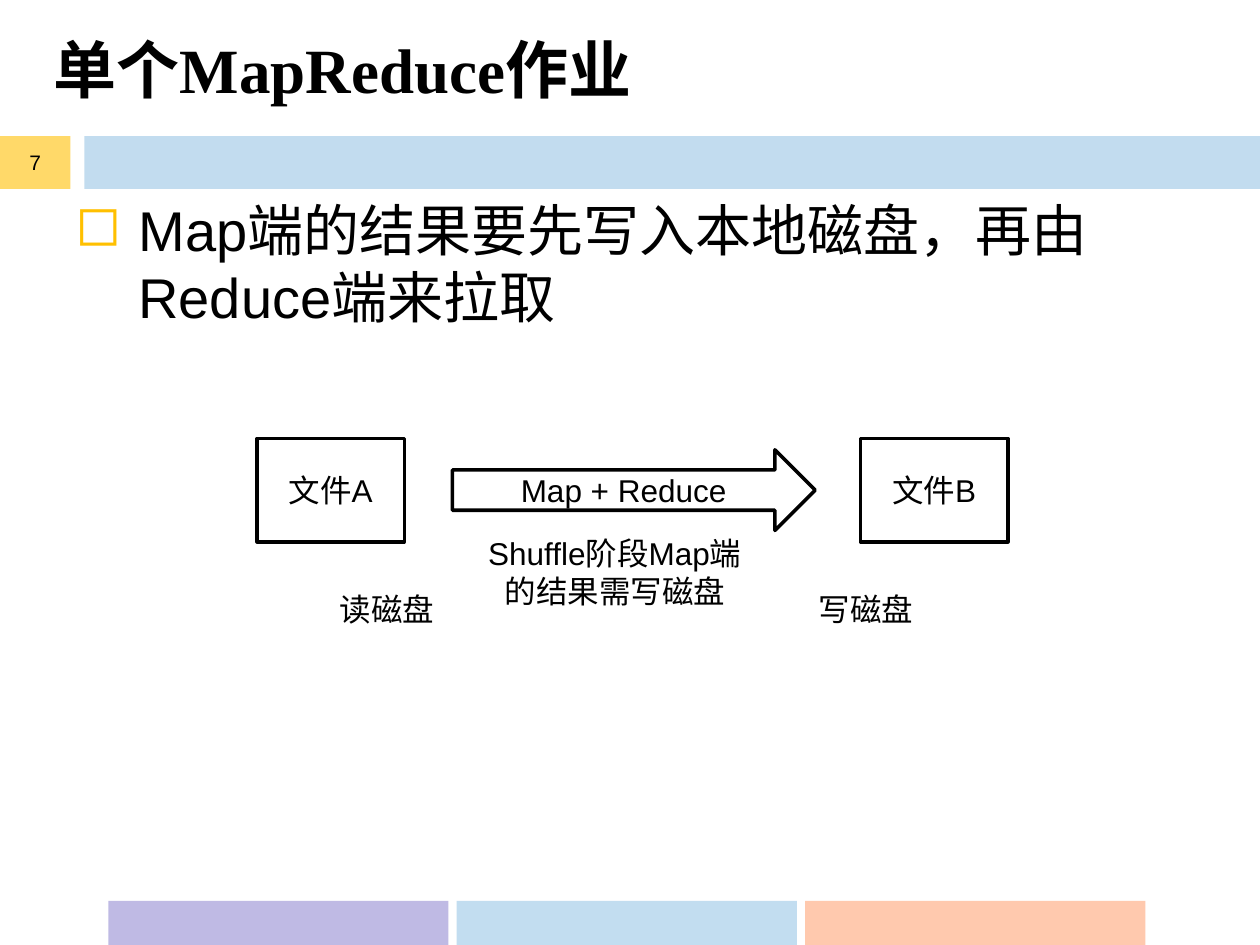
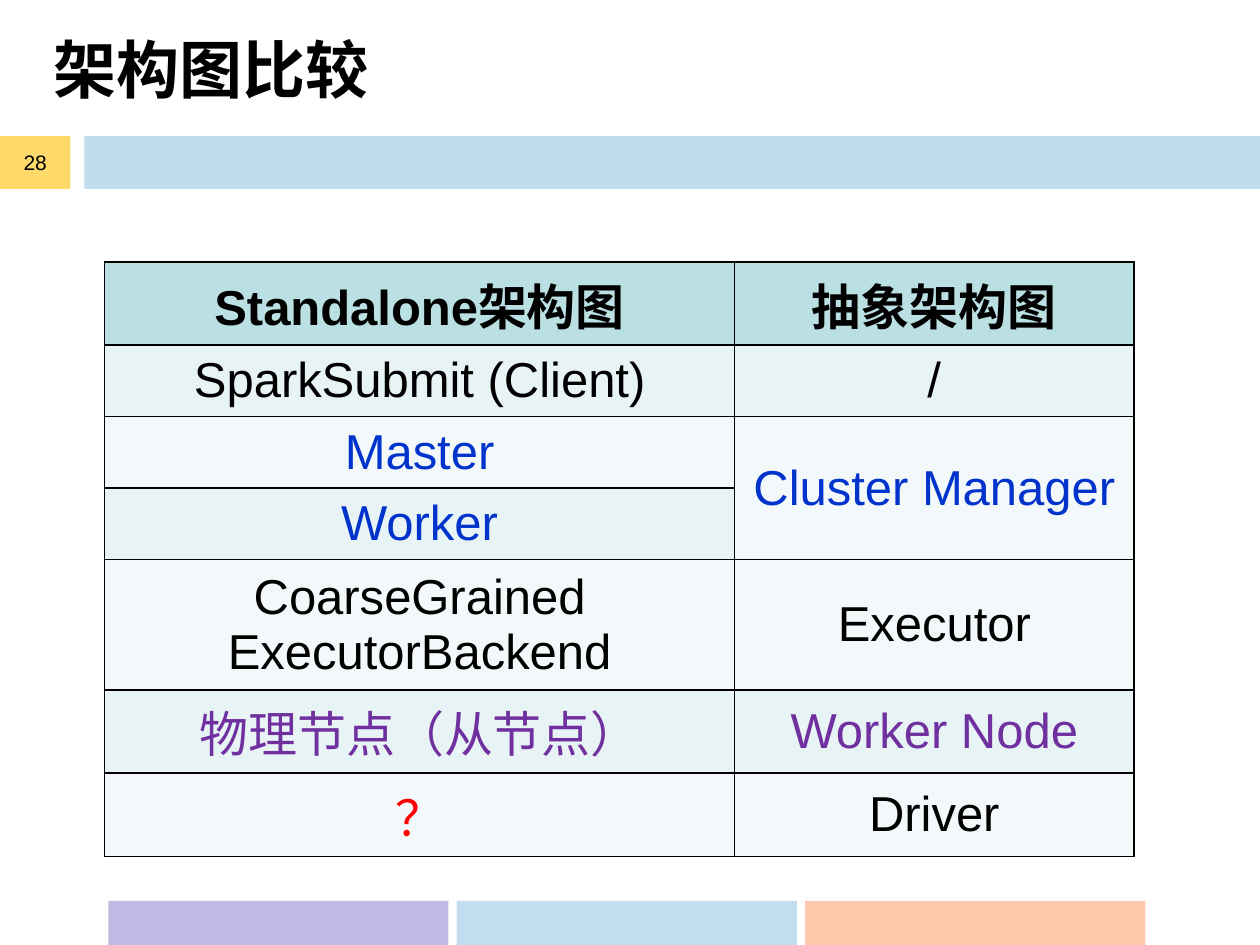
from dataclasses import dataclass

from lxml import etree
from pptx import Presentation
from pptx.dml.color import RGBColor
from pptx.enum.shapes import MSO_SHAPE
from pptx.enum.text import MSO_ANCHOR, PP_ALIGN
from pptx.oxml.ns import qn
from pptx.util import Inches, Pt

RECTANGLE, RIGHT_ARROW = MSO_SHAPE.RECTANGLE, MSO_SHAPE.RIGHT_ARROW
LEFT, CENTER = PP_ALIGN.LEFT, PP_ALIGN.CENTER
TOP, MIDDLE = MSO_ANCHOR.TOP, MSO_ANCHOR.MIDDLE


@dataclass(frozen=True)
class Theme:
    black: str = "000000"
    blue: str = "0033CC"
    purple: str = "7030A0"
    red: str = "FF0000"
    bullet: str = "FFC000"
    band: tuple = ("0070C0", 24)
    number_fill: tuple = ("FFC000", 59)
    footer: tuple = (("BFBAE4", 100), ("C2DDF0", 100), ("FF9966", 53))
    header_row: str = "BBE0E3"
    stripes: tuple = ("E7F3F4", "F3F9FA")
    heading_font: str = "Times New Roman"
    text_font: str = "Arial"
    title_size: int = 36
    body_size: int = 32
    table_size: int = 28
    label_size: int = 18
    number_size: int = 12


def add_xml(parent, tag, **attributes):
    values = {name: str(value) for name, value in attributes.items()}
    return etree.SubElement(parent, qn(tag), values)


def place(*lengths):
    return [Inches(length) for length in lengths]


class SlideBuilder:
    def __init__(self, deck, theme):
        self.deck = deck
        self.theme = theme
        self.page = None

    def start(self, title, number):
        """Add a page with the shared title, bands and page number."""
        theme = self.theme
        self.page = self.deck.slides.add_slide(self.deck.slide_layouts[6])
        for index, fill in enumerate(theme.footer):
            self.shape((0.86 + index * 2.765, 7.15, 2.7, 0.36), fill=fill)
        self.shape((0.67, 1.08, 9.33, 0.42), fill=theme.band)
        self.text((0.33, -0.08, 9.39, 1.25), title, anchor=MIDDLE,
                  size=theme.title_size, name=theme.heading_font, bold=True)
        self.shape((0, 1.08, 0.56, 0.42), str(number), fill=theme.number_fill,
                   size=theme.number_size)

    def set_text(self, frame, content, align=LEFT, color=None, **font_values):
        """Fill a text frame, one paragraph per line of content."""
        values = {"name": self.theme.text_font, "size": self.theme.label_size,
                  "bold": False} | font_values
        values["size"] = Pt(values["size"])
        frame.word_wrap = True
        for index, line in enumerate(content.split("\n")):
            para = frame.paragraphs[0] if index == 0 else frame.add_paragraph()
            para.alignment = align
            span = para.add_run()
            span.text = line
            for name, value in values.items():
                setattr(span.font, name, value)
            span.font.color.rgb = RGBColor.from_string(color or self.theme.black)

    def shape(self, area, content="", kind=RECTANGLE, fill=None, line=None, **font_values):
        """Draw a preset shape; fill is a pair of colour and opacity percent."""
        shape = self.page.shapes.add_shape(kind, *place(*area))
        shape.shadow.inherit = False
        if fill:
            color, opacity = fill
            shape.fill.solid()
            shape.fill.fore_color.rgb = RGBColor.from_string(color)
            if opacity < 100:
                color_xml = shape._element.spPr.find(".//" + qn("a:srgbClr"))
                add_xml(color_xml, "a:alpha", val=opacity * 1000)
        else:
            shape.fill.background()
        if line:
            shape.line.color.rgb = RGBColor.from_string(line)
            shape.line.width = Pt(2)
        else:
            shape.line.fill.background()
        if content:
            shape.text_frame.vertical_anchor = MIDDLE
            self.set_text(shape.text_frame, content, CENTER, **font_values)

    def text(self, area, content, align=LEFT, anchor=TOP, **font_values):
        box = self.page.shapes.add_textbox(*place(*area))
        box.text_frame.vertical_anchor = anchor
        self.set_text(box.text_frame, content, align, **font_values)
        return box

    def bullet(self, area, content):
        box = self.text(area, content, size=self.theme.body_size)
        properties = box.text_frame.paragraphs[0]._p.get_or_add_pPr()
        properties.set("marL", str(Inches(0.5)))
        properties.set("indent", str(Inches(-0.5)))
        add_xml(add_xml(properties, "a:buClr"), "a:srgbClr", val=self.theme.bullet)
        add_xml(properties, "a:buChar", char="◻")

    def cell(self, cell, content, fill, color, bold):
        properties = cell._tc.get_or_add_tcPr()
        for side in ("a:lnL", "a:lnR", "a:lnT", "a:lnB"):
            border = add_xml(properties, side, w=Pt(1))
            add_xml(add_xml(border, "a:solidFill"), "a:srgbClr", val=self.theme.black)
        cell.fill.solid()
        cell.fill.fore_color.rgb = RGBColor.from_string(fill)
        cell.vertical_anchor = MIDDLE
        if content:
            self.set_text(cell.text_frame, content, CENTER, color=color,
                          size=self.theme.table_size, bold=bold)

    def table(self, left, top, widths, heights, rows):
        """Draw a striped table; each row is its texts and their colours."""
        area = place(left, top, sum(widths), sum(heights))
        table = self.page.shapes.add_table(len(rows), len(widths), *area).table
        for column, width in zip(table.columns, widths):
            column.width = Inches(width)
        for index, (height, (texts, colors)) in enumerate(zip(heights, rows)):
            table.rows[index].height = Inches(height)
            header = index == 0
            fill = self.theme.header_row if header else self.theme.stripes[(index - 1) % 2]
            for column, (content, color) in enumerate(zip(texts, colors)):
                self.cell(table.cell(index, column), content, fill, color, header)
        return table


def mapreduce_page(builder):
    black = builder.theme.black
    builder.start("单个MapReduce作业", 7)
    builder.bullet((0.5, 1.5, 9, 5.2), "Map端的结果要先写入本地磁盘，再由Reduce端来拉取")
    for left, file_name in ((2.04, "文件A"), (6.83, "文件B")):
        builder.shape((left, 3.48, 1.17, 0.82), file_name, line=black)
    builder.shape((3.59, 3.57, 2.88, 0.64), "Map + Reduce", RIGHT_ARROW, line=black)
    for left, disk_step in ((2.6, "读磁盘"), (6.4, "写磁盘")):
        builder.text((left, 4.63, 1.56, 0.4), disk_step)
    builder.text((3.75, 4.19, 2.26, 0.71), "Shuffle阶段Map端的结果需写磁盘", CENTER)


def architecture_page(builder):
    theme = builder.theme
    builder.start("架构图比较", 28)
    plain, blue, purple = ((color, color) for color in (theme.black, theme.blue, theme.purple))
    rows = [
        (("Standalone架构图", "抽象架构图"), plain),
        (("SparkSubmit (Client)", "/"), plain),
        (("Master", "Cluster Manager"), blue),
        (("Worker", ""), blue),
        (("CoarseGrained\nExecutorBackend", "Executor"), plain),
        (("物理节点（从节点）", "Worker Node"), purple),
        (("？", "Driver"), (theme.red, theme.black)),
    ]
    heights = (0.66, 0.53, 0.53, 0.53, 0.97, 0.66, 0.66)
    table = builder.table(0.83, 2.08, (5, 3.17), heights, rows)
    table.cell(2, 1).merge(table.cell(3, 1))


def main():
    deck = Presentation()
    deck.slide_width, deck.slide_height = place(10, 7.5)
    builder = SlideBuilder(deck, Theme())
    mapreduce_page(builder)
    architecture_page(builder)
    deck.save("out.pptx")


if __name__ == "__main__":
    main()
